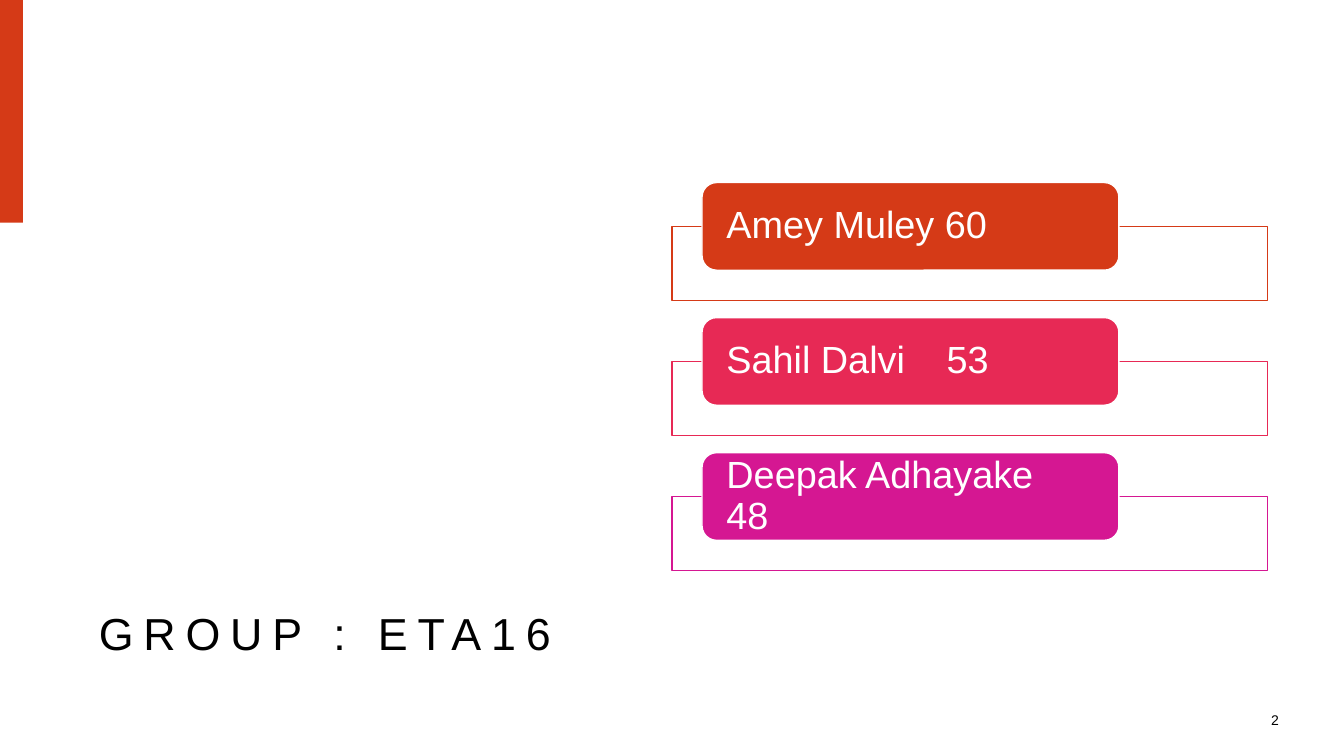
import lxml.etree
import pptx
import pptx.dml.color
import pptx.enum.shapes
import pptx.enum.text
import pptx.oxml.ns
import pptx.util

Cm = pptx.util.Cm
Shape = pptx.enum.shapes.MSO_SHAPE
Anchor = pptx.enum.text.MSO_ANCHOR
Align = pptx.enum.text.PP_ALIGN
qn = pptx.oxml.ns.qn

ACCENT = "D53A17"
# name, number, colour, tab stop of the number in cm (None: a plain space)
MEMBERS = [
    ("Amey Muley", "60", ACCENT, None),
    ("Sahil Dalvi", "53", "E72955", 5.55),
    ("Deepak Adhayake", "48", "D51792", 8.26),
]


def colour(hex_string):
    return pptx.dml.color.RGBColor.from_string(hex_string)


def set_values(target, values):
    for name, value in values.items():
        setattr(target, name, value)


def add_box(slide, kind, box, fill, line=None):
    shape = slide.shapes.add_shape(kind, *map(Cm, box))
    shape.shadow.inherit = False
    shape.fill.solid()
    shape.fill.fore_color.rgb = colour(fill)
    if line:
        shape.line.color.rgb = colour(line)
        shape.line.width = pptx.util.Pt(1)
    else:
        shape.line.fill.background()
    return shape


def write(shape, text, size, text_colour, frame, paragraph_format, spacing=0):
    """Put one line of text in a shape; spacing is between letters, in points."""
    set_values(shape.text_frame, {"word_wrap": True, **frame})
    paragraph = shape.text_frame.paragraphs[0]
    set_values(paragraph, paragraph_format)
    run = paragraph.add_run()
    run.text = text
    set_values(run.font, {"name": "Arial", "size": pptx.util.Pt(size)})
    run.font.color.rgb = colour(text_colour)
    if spacing:
        run.font._element.set("spc", str(spacing * 100))
    return paragraph


def add_tab_stop(paragraph, position):
    tab_list = lxml.etree.SubElement(paragraph._p.get_or_add_pPr(), qn("a:tabLst"))
    lxml.etree.SubElement(tab_list, qn("a:tab"), pos=str(Cm(position)), algn="l")


def add_title(slide, box):
    title = slide.shapes.add_textbox(*map(Cm, box))
    write(title, "GROUP : ETA16", 32, "000000",
          {"vertical_anchor": Anchor.BOTTOM}, {"line_spacing": 1.2}, spacing=7)


def add_slide_number(slide, box):
    number = slide.shapes.add_textbox(*map(Cm, box))
    write(number, "2", 10, "000000",
          {"vertical_anchor": Anchor.MIDDLE}, {"alignment": Align.RIGHT}, spacing=1)


def add_member(slide, box, name, number, member_colour, tab_stop):
    """Draw an outlined box with a filled label over its upper edge."""
    left, top, width, height = box
    label_height = 2.21
    outline_top = top + label_height / 2
    add_box(slide, Shape.RECTANGLE,
            (left, outline_top, width, top + height - outline_top),
            "FFFFFF", member_colour)
    label = add_box(slide, Shape.ROUNDED_RECTANGLE,
                    (left + 0.05 * width, top, 0.7 * width, label_height),
                    member_colour, "FFFFFF")
    frame = {"vertical_anchor": Anchor.MIDDLE,
             "margin_left": Cm(0.51), "margin_right": Cm(0.51),
             "margin_top": 0, "margin_bottom": 0}
    paragraph = write(label, name + ("\t" if tab_stop else " ") + number, 27, "FFFFFF",
                      frame, {"alignment": Align.LEFT, "line_spacing": 0.9})
    if tab_stop:
        add_tab_stop(paragraph, tab_stop)


def add_member_list(slide, box):
    left, top, width, height = box
    gap = 0.43
    member_height = (height - gap * (len(MEMBERS) - 1)) / len(MEMBERS)
    for index, member in enumerate(MEMBERS):
        member_top = top + index * (member_height + gap)
        add_member(slide, (left, member_top, width, member_height), *member)


def main():
    presentation = pptx.Presentation()
    set_values(presentation, {"slide_width": Cm(33.87), "slide_height": Cm(19.05)})
    slide = presentation.slides.add_slide(presentation.slide_layouts[6])
    add_title(slide, (2.24, 2.16, 12.67, 14.58))
    add_box(slide, Shape.RECTANGLE, (0, 0, 0.58, 5.61), ACCENT)
    add_slide_number(slide, (31.01, 17.63, 1.47, 1.02))
    add_member_list(slide, (16.94, 4.6, 15.01, 9.78))
    presentation.save("out.pptx")


if __name__ == "__main__":
    main()
